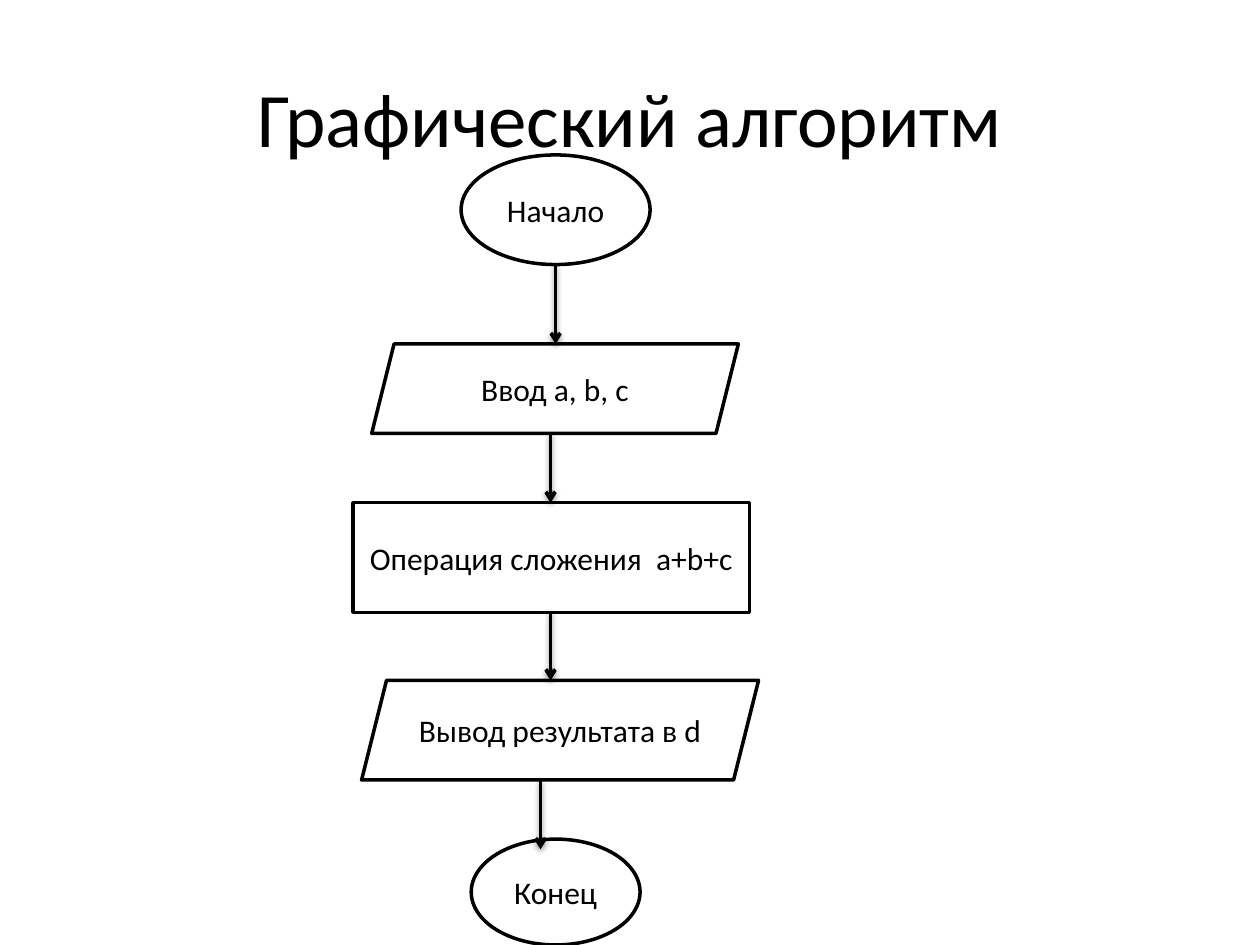
from dataclasses import dataclass

from lxml import etree
from pptx import Presentation
from pptx import util as u
from pptx.dml.color import RGBColor
from pptx.enum import shapes, text
from pptx.oxml.ns import qn


@dataclass(frozen=True)
class Theme:
    ink: RGBColor = RGBColor(0, 0, 0)
    paper: RGBColor = RGBColor(255, 255, 255)
    font: str = "Calibri"
    head: int = 44
    body: int = 18
    line: int = 2


@dataclass(frozen=True)
class Step:
    kind: shapes.MSO_SHAPE
    label: str
    left: float
    top: float
    width: float
    height: float


@dataclass(frozen=True)
class Arrow:
    x: float
    top: float
    end: float


LOOK = Theme()
OVAL = shapes.MSO_SHAPE.OVAL
DATA = shapes.MSO_SHAPE.PARALLELOGRAM
BOX = shapes.MSO_SHAPE.RECTANGLE

STEPS = [
    Step(OVAL, "Начало", 3.66, 1.23, 1.5, 0.87),
    Step(DATA, "Ввод a, b, c", 2.95, 2.73, 2.91, 0.71),
    Step(BOX, "Операция сложения  a+b+c", 2.8, 3.99, 3.15, 0.87),
    Step(DATA, "Вывод результата в d", 2.87, 5.4, 3.15, 0.79),
    Step(OVAL, "Конец", 3.74, 6.66, 1.34, 0.84),
]
ARROWS = [
    Arrow(4.41, 2.1, 2.73),
    Arrow(4.37, 3.44, 3.99),
    Arrow(4.37, 4.85, 5.4),
    Arrow(4.29, 6.19, 6.74),
]


def write(frame, label: str, size: int) -> None:
    """Set one centred line of text."""
    frame.word_wrap = True
    frame.vertical_anchor = text.MSO_ANCHOR.MIDDLE
    para = frame.paragraphs[0]
    para.alignment = text.PP_ALIGN.CENTER
    run = para.add_run()
    run.text = label
    run.font.name = LOOK.font
    run.font.size = u.Pt(size)
    run.font.color.rgb = LOOK.ink


def stroke(line) -> None:
    line.color.rgb = LOOK.ink
    line.width = u.Pt(LOOK.line)


def draw_step(slide, step: Step) -> None:
    area = (step.left, step.top, step.width, step.height)
    shape = slide.shapes.add_shape(step.kind, *map(u.Inches, area))
    shape.shadow.inherit = False
    shape.fill.solid()
    shape.fill.fore_color.rgb = LOOK.paper
    stroke(shape.line)
    write(shape.text_frame, step.label, LOOK.body)


def draw_arrow(slide, arrow: Arrow) -> None:
    """Draw a downward arrow that keeps the soft shadow of the theme."""
    ends = (arrow.x, arrow.top, arrow.x, arrow.end)
    link = slide.shapes.add_connector(
        shapes.MSO_CONNECTOR.STRAIGHT, *map(u.Inches, ends))
    stroke(link.line)
    tail = etree.SubElement(link.line._get_or_add_ln(), qn("a:tailEnd"))
    tail.set("type", "arrow")


def main() -> None:
    deck = Presentation()
    deck.slide_width, deck.slide_height = u.Inches(10), u.Inches(7.5)
    slide = deck.slides.add_slide(deck.slide_layouts[5])

    # Title
    title = slide.shapes.title
    title.left, title.top = u.Inches(0.5), u.Inches(0.3)
    title.width, title.height = u.Inches(9), u.Inches(1.25)
    write(title.text_frame, "Графический алгоритм", LOOK.head)

    # Flowchart
    for step in STEPS:
        draw_step(slide, step)
    for arrow in ARROWS:
        draw_arrow(slide, arrow)

    deck.save("out.pptx")


if __name__ == "__main__":
    main()
